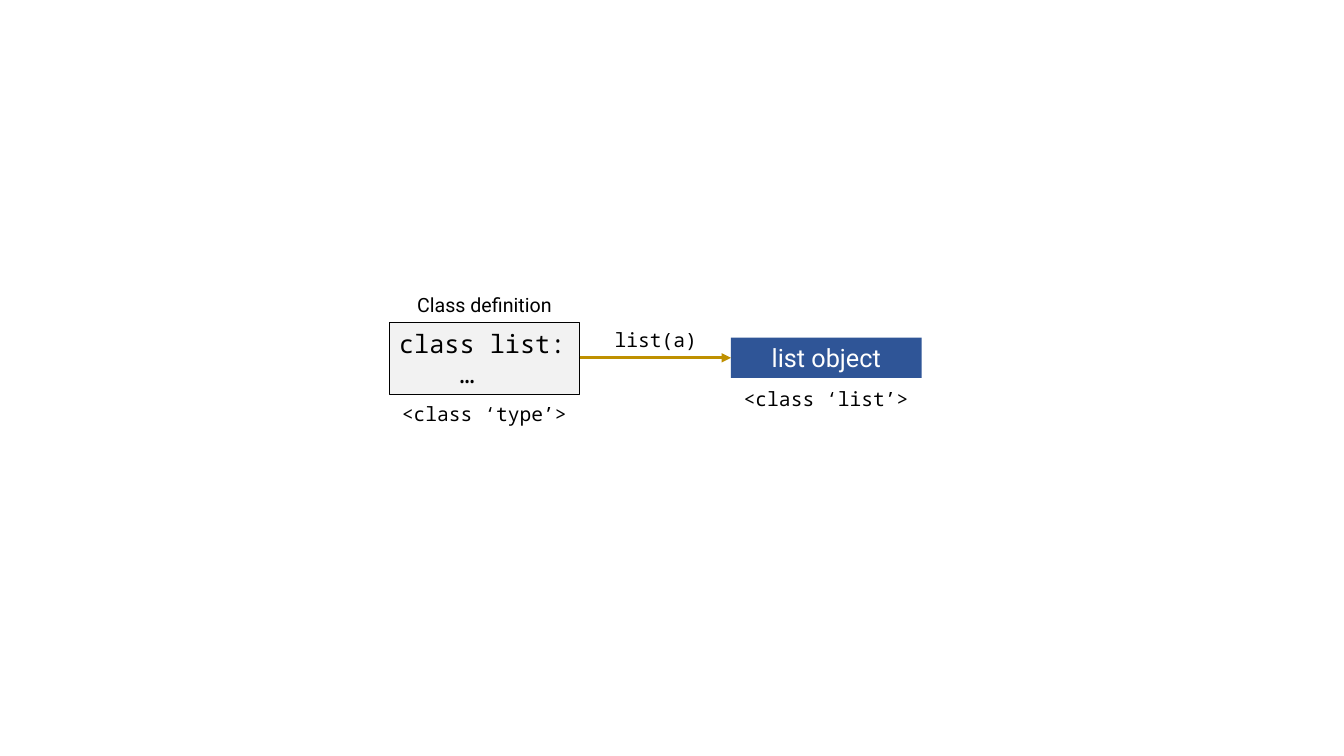
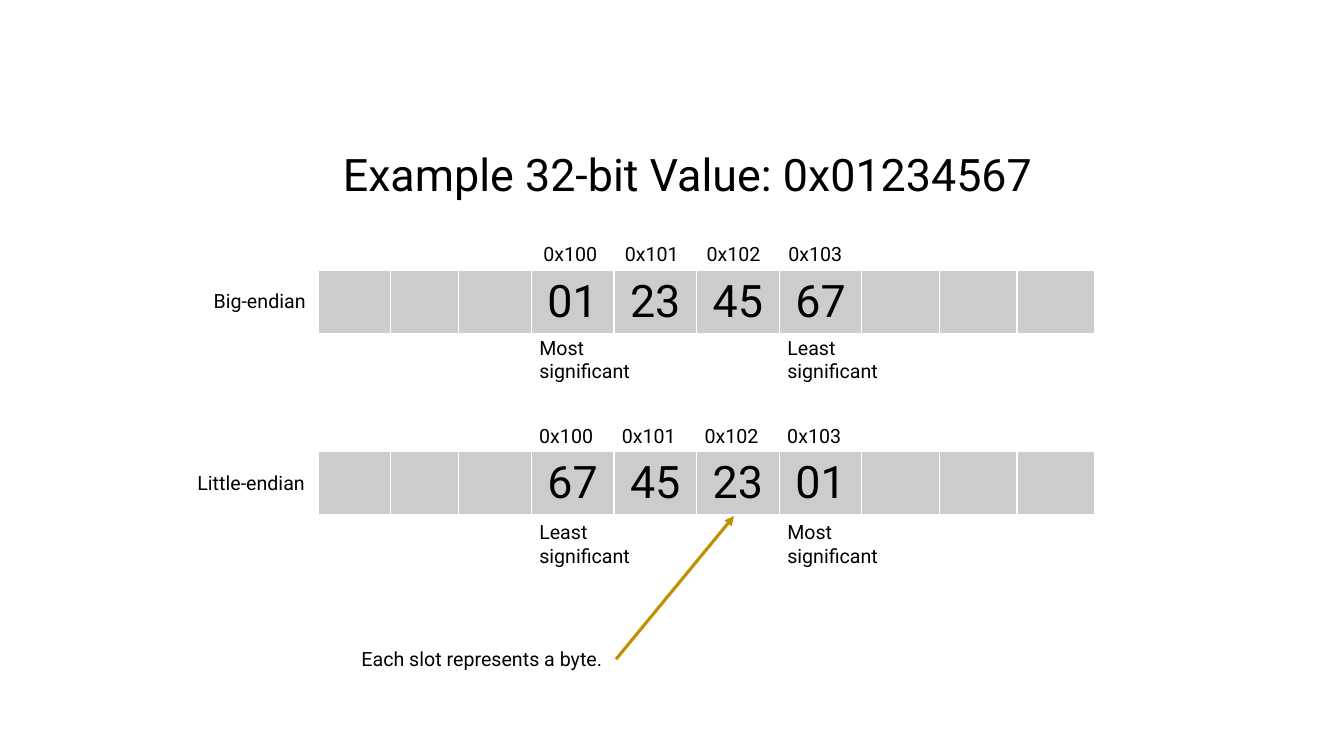
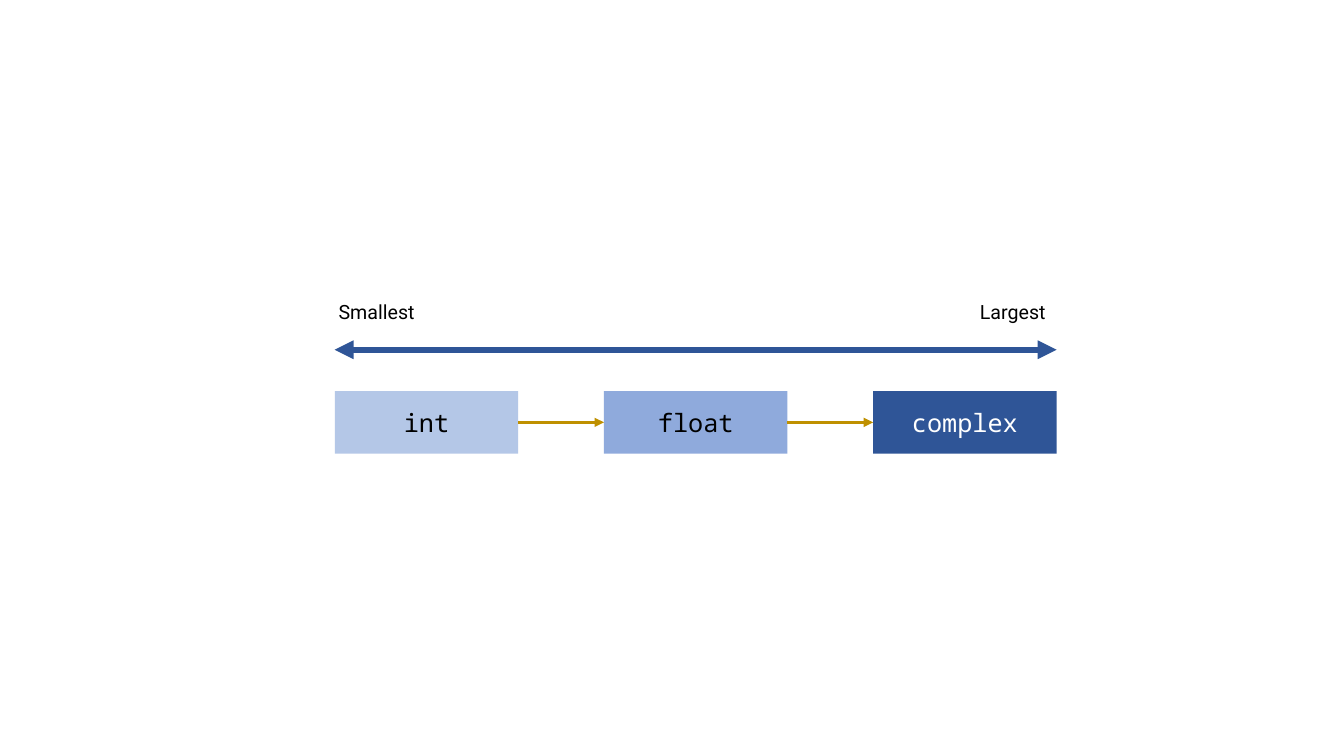
from dataclasses import dataclass

from lxml.etree import SubElement
from pptx import Presentation
from pptx.dml.color import RGBColor
from pptx.enum.shapes import MSO_CONNECTOR, MSO_SHAPE
from pptx.enum.text import MSO_ANCHOR, MSO_AUTO_SIZE, PP_ALIGN
from pptx.oxml import parse_xml
from pptx.oxml.ns import nsdecls, qn
from pptx.util import Inches, Pt


@dataclass(frozen=True)
class Theme:
    """Colours, fonts and type sizes of the deck."""
    black: str = "000000"
    white: str = "FFFFFF"
    paper: str = "F2F2F2"
    slot: str = "CCCCCC"
    gold: str = "BF9000"
    pale: str = "B4C7E7"
    mid: str = "8FAADC"
    dark: str = "2F5597"
    sans: str = "Roboto"
    mono: str = "Noto Sans Mono"
    label: int = 14
    body: int = 18
    large: int = 32


LEFT, CENTER = PP_ALIGN.LEFT, PP_ALIGN.CENTER


class Deck:
    """Presentation with one theme and a current slide."""

    def __init__(self, theme):
        """Start an empty widescreen presentation."""
        self.t = theme
        self.prs = Presentation()
        self.prs.slide_width, self.prs.slide_height = Inches(13.33), Inches(7.5)

    def slide(self, layout=6):
        """Add a slide and make it current."""
        self.s = self.prs.slides.add_slide(self.prs.slide_layouts[layout])

    def set_text(self, tf, text, size, font=None, color=None, align=LEFT, anchor=MSO_ANCHOR.TOP):
        """Fill a text frame and format its runs."""
        tf.text = text
        tf.word_wrap = True
        tf.auto_size = MSO_AUTO_SIZE.NONE
        tf.vertical_anchor = anchor
        for p in tf.paragraphs:
            self.style(p, size, font, color, align)

    def style(self, p, size, font=None, color=None, align=LEFT):
        """Format one paragraph and its runs."""
        p.alignment = align
        for r in p.runs:
            r.font.size = Pt(size)
            r.font.name = font or self.t.sans
            r.font.color.rgb = RGBColor.from_string(color or self.t.black)

    def title(self, text, x, y, w, h):
        """Add a title-only slide with its title in place."""
        self.slide(5)
        sp = self.s.shapes.title
        sp.left, sp.top, sp.width, sp.height = (Inches(v) for v in (x, y, w, h))
        self.set_text(sp.text_frame, text, self.t.large)

    def label(self, text, x, y, w, h=0.34, font=None, align=LEFT):
        """Add a small text box."""
        sp = self.s.shapes.add_textbox(Inches(x), Inches(y), Inches(w), Inches(h))
        self.set_text(sp.text_frame, text, self.t.label, font, align=align)

    def box(self, text, x, y, w, h, fill, font=None, color=None, line=None, align=CENTER):
        """Add a filled rectangle with text and return it."""
        sp = self.s.shapes.add_shape(MSO_SHAPE.RECTANGLE, Inches(x), Inches(y), Inches(w), Inches(h))
        sp.shadow.inherit = False
        sp.fill.solid()
        sp.fill.fore_color.rgb = RGBColor.from_string(fill)
        if line:
            sp.line.color.rgb = RGBColor.from_string(line)
            sp.line.width = Pt(0.75)
        else:
            sp.line.fill.background()
        self.set_text(sp.text_frame, text, self.t.body, font, color, align, MSO_ANCHOR.MIDDLE)
        return sp

    def arrow(self, x1, y1, x2, y2, color=None, width=2.25, ends=("tailEnd",)):
        """Add a straight line with triangle arrowheads."""
        c = self.s.shapes.add_connector(
            MSO_CONNECTOR.STRAIGHT, Inches(x1), Inches(y1), Inches(x2), Inches(y2))
        c.line.color.rgb = RGBColor.from_string(color or self.t.gold)
        c.line.width = Pt(width)
        spPr = c._element.spPr
        for end in ends:
            SubElement(spPr.find(qn("a:ln")), qn(f"a:{end}"), type="triangle")
        SubElement(spPr, qn("a:effectLst"))

    def byte_row(self, values, x, y, widths, height):
        """Add a one-row table of memory slots."""
        table = self.s.shapes.add_table(
            1, len(widths), Inches(x), Inches(y), Inches(sum(widths)), Inches(height)).table
        table.first_row = table.horz_banding = False
        for i, (value, width) in enumerate(zip(values, widths)):
            table.columns[i].width = Inches(width)
            cell = table.cell(0, i)
            cell.fill.solid()
            cell.fill.fore_color.rgb = RGBColor.from_string(self.t.slot)
            cell.vertical_anchor = MSO_ANCHOR.MIDDLE
            if value:
                cell.text_frame.text = value
                self.style(cell.text_frame.paragraphs[0], self.t.large, align=CENTER)
            for k, side in enumerate("LRTB"):
                cell._tc.tcPr.insert(k, parse_xml(
                    f'<a:ln{side} {nsdecls("a")} w="{Pt(1)}"><a:solidFill>'
                    f'<a:srgbClr val="{self.t.white}"/></a:solidFill></a:ln{side}>'))


def class_slide(d):
    """Draw a class and the object it creates."""
    d.slide()
    t, w = d.t, 1.89
    x_class, x_object = 3.86, 7.25
    sp = d.box("class list:\n…", x_class, 3.2, w, 0.71, t.paper, t.mono, line=t.black, align=LEFT)
    sp.text_frame.paragraphs[1]._p.get_or_add_pPr().set("marL", str(Inches(0.6)))
    d.box("list object", x_object, 3.35, w, 0.4, t.dark, color=t.white)
    d.arrow(x_class + w, 3.55, x_object, 3.55)
    d.label("Class definition", x_class, 2.86, w, align=CENTER)
    for text, x, y in (("<class ‘type’>", x_class, 3.94),
                       ("<class ‘list’>", x_object, 3.79),
                       ("list(a)", 5.56, 3.2)):
        d.label(text, x, y, w, font=t.mono, align=CENTER)


def endian_slide(d):
    """Draw the byte orders of a 32-bit value."""
    d.title("Example 32-bit Value: 0x01234567", 3.3, 1.41, 7.22, 0.64)
    x, height = 3.16, 0.63
    widths = [0.71, 0.68, 0.72] + [0.82] * 4 + [0.77] * 3
    data = ["01", "23", "45", "67"]
    most, least = "Most significant", "Least significant"
    rows = (("Big-endian", data, 2.68, 1.14, 5.29, 0.81, 2.35, 3.28, most, least),
            ("Little-endian", data[::-1], 4.48, 1.3, 5.25, 0.82, 4.16, 5.11, least, most))
    for name, values, y, w, x_address, pitch, y_address, y_note, first, last in rows:
        d.byte_row([""] * 3 + values + [""] * 3, x, y, widths, height)
        d.label(name, x - w, y + 0.14, w)
        for i in range(4):
            d.label(f"0x10{i}", x_address + i * pitch, y_address, 0.8)
        d.label(first, 5.25, y_note, 1.15, 0.57)
        d.label(last, 7.71, y_note, 1.15, 0.57)
    d.label("Each slot represents a byte.", 3.45, 6.37, 2.66, align=CENTER)
    d.arrow(6.11, 6.54, 7.28, 5.12)


def number_slide(d):
    """Draw the numeric types from smallest to largest."""
    d.slide()
    t = d.t
    x, y, w, h, pitch = 3.32, 3.88, 1.82, 0.62, 2.67
    kinds = (("int", t.pale, t.black), ("float", t.mid, t.black), ("complex", t.dark, t.white))
    for i, (text, fill, color) in enumerate(kinds):
        left = x + i * pitch
        d.box(text, left, y, w, h, fill, t.mono, color)
        if i:
            d.arrow(left - pitch + w, y + h / 2, left, y + h / 2)
    d.arrow(x + 2 * pitch + w, 3.47, x, 3.47, t.dark, 4.5, ("headEnd", "tailEnd"))
    d.label("Smallest", 3.26, 2.93, 0.97)
    d.label("Largest", 9.62, 2.93, 0.87)


def main():
    """Build the deck and save it."""
    d = Deck(Theme())
    for build in (class_slide, endian_slide, number_slide):
        build(d)
    d.prs.save("out.pptx")


if __name__ == "__main__":
    main()
